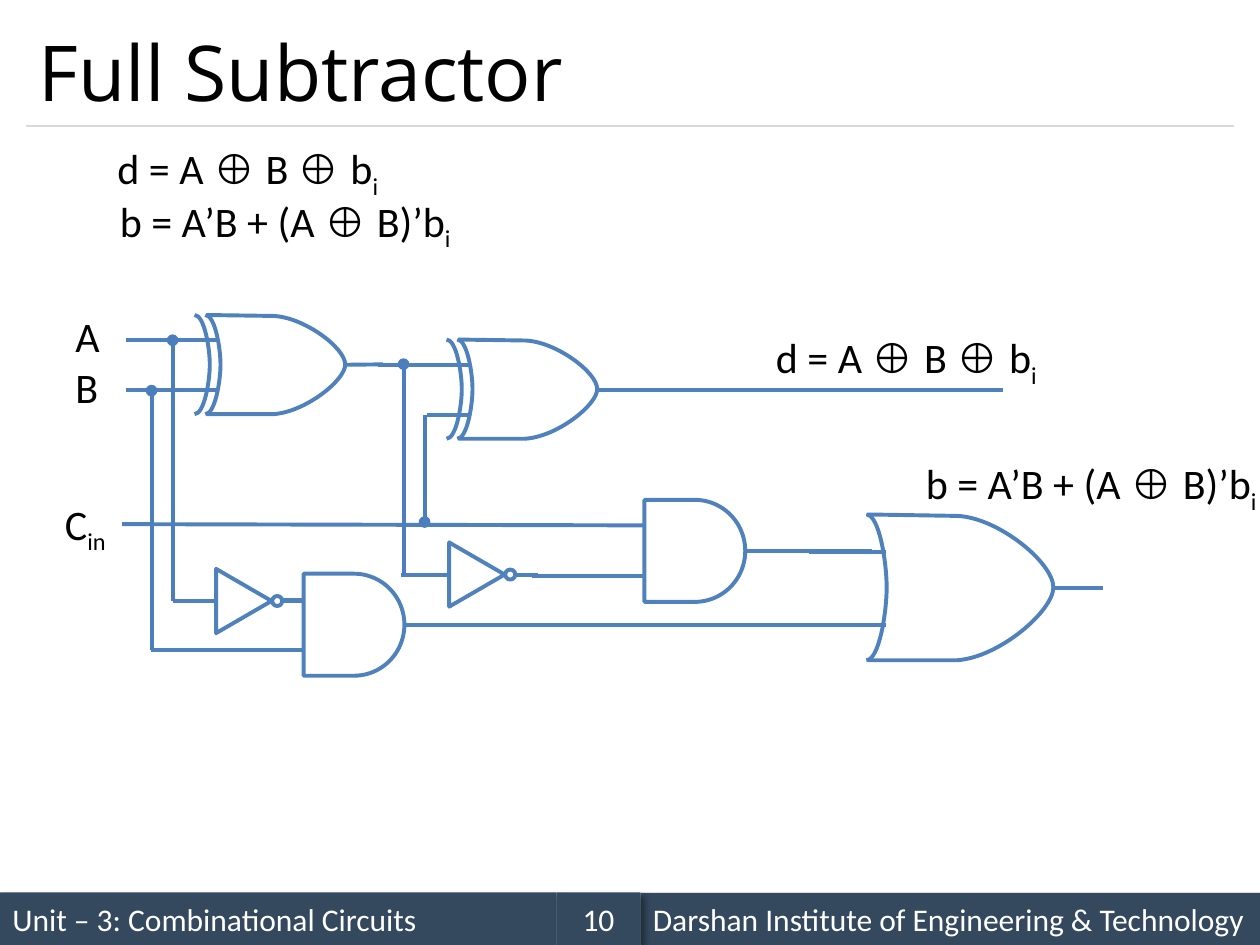
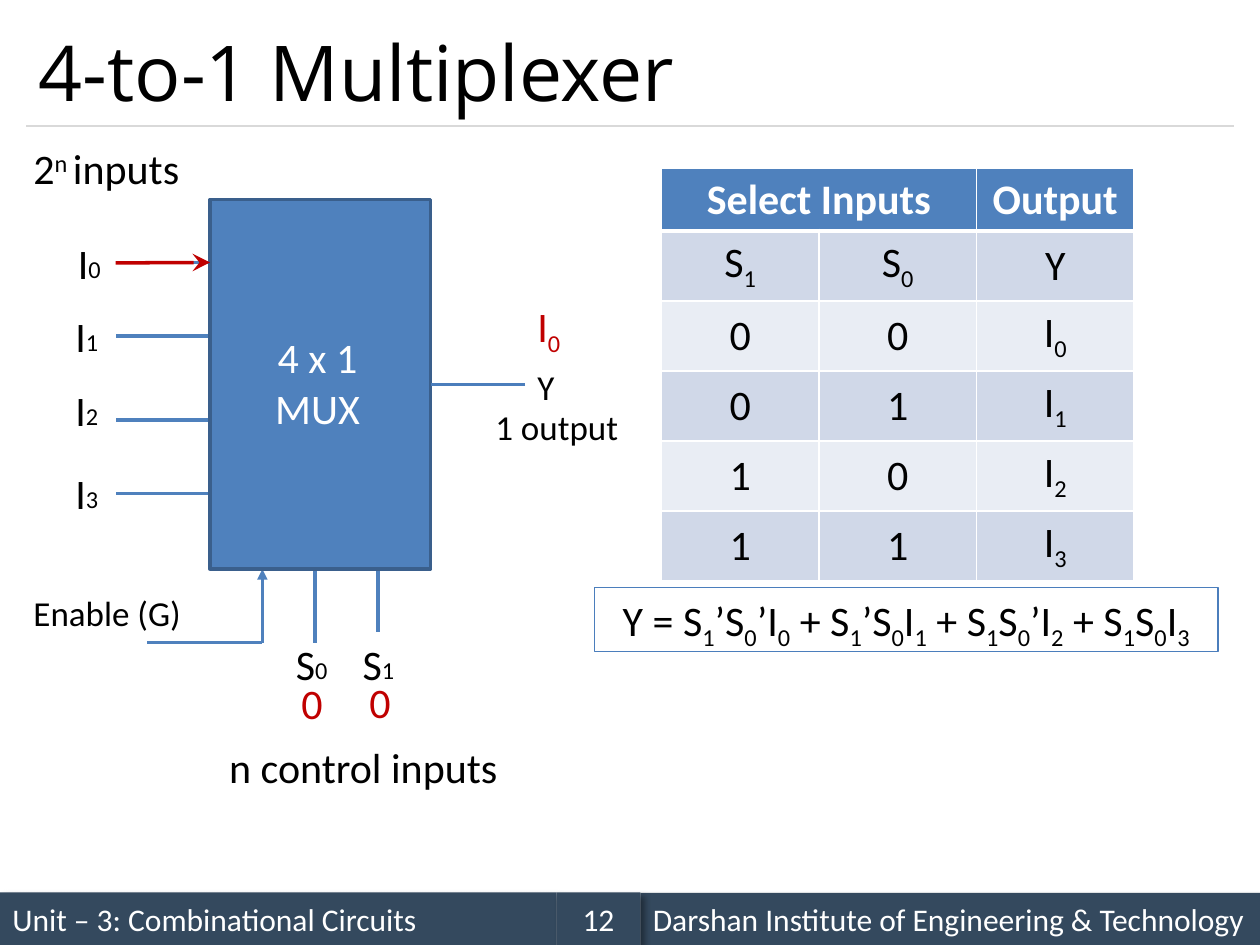
from pptx import Presentation
from pptx.dml.color import RGBColor as RGB
from pptx.enum.shapes import MSO_CONNECTOR as LINK, MSO_SHAPE as SHAPE
from pptx.enum.text import MSO_ANCHOR as ANCHOR, MSO_AUTO_SIZE as FIT, PP_ALIGN as ALIGN
from pptx.oxml.ns import qn
from pptx.util import Inches, Pt
from lxml.etree import SubElement as Sub

deck = Presentation()
deck.slide_width, deck.slide_height = Inches(10), Inches(7.5)
col, row = deck.slide_width / 100, deck.slide_height / 75

hues = {
    "blue": "4F81BD", "edge": "4B7EBC", "rim": "3A5F8C", "red": "C00000",
    "band": "34495E", "rule": "D9D9D9", "ink": "000000", "white": "FFFFFF",
    "dark": "D0D8E8", "pale": "E9EDF4",
}
tint = {name: RGB.from_string(code) for name, code in hues.items()}
left, mid = ALIGN.LEFT, ALIGN.CENTER


def put(frame, words, size=24, hue="ink", align=left, base=-25, face="Calibri", bold=False):
    para = frame.paragraphs[0]
    para.alignment = align
    for n, part in enumerate(words.split("|")):
        for bit in part.replace("⊕ ", "~⊕ ~").split("~"):
            if not bit:
                continue
            run = para.add_run()
            run.text = bit
            look = {"name": "Times New Roman" if "⊕" in bit else face, "size": Pt(size), "bold": bold}
            for key, value in look.items():
                setattr(run.font, key, value)
            run.font.color.rgb = tint[hue]
            if n % 2:
                run.font._element.set("baseline", str(base * 1000))


def wire(page, x1, y1, x2, y2, hue="blue", wide=2.25, head=None, tail=None):
    link = page.shapes.add_connector(
        LINK.STRAIGHT, int(x1 * col), int(y1 * row), int(x2 * col), int(y2 * row))
    link.line.color.rgb = tint[hue]
    link.line.width = Pt(wide)
    props = link._element.spPr
    for tag, kind in (("a:headEnd", head), ("a:tailEnd", tail)):
        if kind:
            size = "lg" if kind == "stealth" else "med"
            Sub(props.find(qn("a:ln")), qn(tag), type=kind, w=size, len=size)
    Sub(props, qn("a:effectLst"))


pages = []
for title, number in (("Full Subtractor", "10"), ("4-to-1 Multiplexer", "12")):
    page = deck.slides.add_slide(deck.slide_layouts[6])
    pages.append(page)
    bands = [
        (0, 70.83, 44.17, "Unit – 3: Combinational Circuits", left),
        (50.83, 70.86, 49.17, "Darshan Institute of Engineering & Technology", left),
        (44.17, 70.83, 6.67, number, mid),
    ]
    for x, y, w, words, align in bands:
        band = page.shapes.add_shape(
            SHAPE.RECTANGLE, int(x * col), int(y * row), int(w * col), int(4.17 * row))
        band.fill.solid()
        band.fill.fore_color.rgb = tint["band"]
        band.line.fill.background()
        band.shadow.inherit = False
        glow = Sub(band._element.spPr.find(qn("a:effectLst")), qn("a:outerShdw"),
                   blurRad=str(Pt(4)), dist=str(Pt(3)), dir="2700000", algn="tl", rotWithShape="0")
        shade = Sub(glow, qn("a:srgbClr"), val=hues["ink"])
        Sub(shade, qn("a:alpha"), val="40000")
        band.text_frame.word_wrap = True
        band.text_frame.vertical_anchor = ANCHOR.MIDDLE
        put(band.text_frame, words, 18, "white", align)
    wire(page, 2.1, 10, 97.9, 10, "rule", 0.75)
    box = page.shapes.add_textbox(int(2.1 * col), int(1.2 * row), int(95.8 * col), int(8.8 * row))
    box.text_frame.word_wrap = True
    box.text_frame.vertical_anchor = ANCHOR.MIDDLE
    put(box.text_frame, title, 44, face="Open Sans")

logic, mux = pages

leads = [
    (10, 30.95, 17.3, 30.95), (10, 27, 17.3, 27), (27.5, 28.95, 30.4, 28.92),
    (12, 51.6, 24.2, 51.6), (22.4, 47.6, 24.2, 47.6), (32.2, 49.6, 64.4, 49.6),
    (33.9, 32.92, 37.3, 32.92), (30, 28.95, 37.3, 28.95), (47.5, 30.93, 79.6, 30.93),
    (42.2, 45.7, 51.2, 45.7), (9.7, 41.6, 51.2, 41.7), (59.2, 43.73, 69.2, 43.73),
    (64.2, 49.6, 70.3, 49.6), (64.2, 43.8, 70.3, 43.8), (83.7, 46.67, 87.5, 46.67),
    (31.8, 45.6, 35.7, 45.6), (40.9, 45.6, 42.7, 45.6),
    (13.7, 47.7, 17.2, 47.7), (22.4, 47.7, 24.2, 47.7),
]
for ends in leads:
    wire(logic, *ends)

taps = [(13.7, 27, 47.7), (12.03, 31, 51.6), (32.03, 28.9, 45.6), (33.7, 41.43, 32.9)]
for x, y, far in taps:
    wire(logic, x, y, x, far, "edge", head="oval")

parts = []
for x, y in ((24.1, 45.53), (51.15, 39.67)):
    parts.append(logic.shapes.add_shape(
        SHAPE.FLOWCHART_DELAY, int(x * col), int(y * row), int(8 * col), int(8.1 * row)))
for x, y in ((16.8, 45.5), (35.3, 43.4)):
    cone = logic.shapes.add_shape(
        SHAPE.ISOSCELES_TRIANGLE, int(x * col), int(y * row), int(5.1 * col), int(4.4 * row))
    cone.rotation = 90
    ring = logic.shapes.add_shape(
        SHAPE.OVAL, int((x + 4.8) * col), int((y + 1.8) * row), int(0.8 * col), int(0.8 * row))
    parts += [cone, ring]

hull = [(0, 0), (0.48, 0.01), (0.7, 0.02), (1, 0.33), (1, 0.5),
        (1, 0.66), (0.71, 0.98), (0.48, 1), (0, 1)]
bow = [(-0.01, 0), (0.06, 0), (0.1, 0.33), (0.1, 0.5), (0.1, 0.67), (0.06, 1), (-0.01, 1)]
gates = [(16.4, 25, 11, 7.87, 2), (36.4, 26.95, 11, 7.87, 2), (68.9, 40.83, 14.7, 11.57, 1)]
for x, y, w, h, bows in gates:
    for curve, shift in [(hull, 0), (bow, 0), (bow, -0.85)][:bows + 1]:
        spots = [(int((x + shift + w * p) * col), int((y + h * q) * row)) for p, q in curve]
        pen = logic.shapes.build_freeform(*spots[0])
        pen.add_line_segments(spots[1:], close=False)
        part = pen.convert_to_shape()
        parts.append(part)
        route = next(part._element.spPr.iter(qn("a:path")))
        nodes = route.findall(qn("a:lnTo"))
        skip = (len(curve) - len(bow)) // 2
        for k in (skip, skip + 3):
            bend = Sub(route, qn("a:cubicBezTo"))
            nodes[k].addprevious(bend)
            for node in nodes[k:k + 3]:
                bend.append(node[0])
                route.remove(node)

for part in parts:
    part.fill.background()
    part.line.color.rgb = tint["blue"]
    part.line.width = Pt(2.25)
    part.shadow.inherit = False

pins = [(20.83, 5.2, 18.33), (26.67, 5, 24.17), (33.33, 5, 30), (39.17, 5, 36.6)]
for y, x, top in pins:
    wire(mux, 16.67, y, 9.17, y, wide=2)
wire(mux, 11.67, 51, 20.83, 51, wide=1.75)
wire(mux, 20.83, 51, 20.83, 45.17, wide=1.75, tail="triangle")
wire(mux, 25, 45.17, 25, 51, wide=1.75)
wire(mux, 30, 45.17, 30, 50.17, wide=1.75)

block = mux.shapes.add_shape(
    SHAPE.RECTANGLE, int(16.67 * col), int(15.83 * row), int(17.5 * col), int(29.33 * row))
block.fill.solid()
block.fill.fore_color.rgb = tint["blue"]
block.line.color.rgb = tint["rim"]
block.line.width = Pt(2)
block.shadow.inherit = False
wire(mux, 41.67, 30.5, 34.17, 30.5, "edge", 2)

sheet = mux.shapes.add_table(
    6, 3, int(52.5 * col), int(13.33 * row), int(37.5 * col), int(24.6 * row)).table
cells = [
    ("Select Inputs", "", "Output"), ("S|1", "S|0", "Y"), ("0", "0", "I|0"),
    ("0", "1", "I|1"), ("1", "0", "I|2"), ("1", "1", "I|3"),
]
sheet.cell(0, 0).merge(sheet.cell(0, 1))
for r, line in enumerate(cells):
    for c, words in enumerate(line):
        cell = sheet.cell(r, c)
        cell.vertical_anchor = ANCHOR.MIDDLE
        if r == 0:
            edge = Sub(cell._tc.get_or_add_tcPr(), qn("a:lnB"), w=str(Pt(3)))
            Sub(Sub(edge, qn("a:solidFill")), qn("a:srgbClr"), val=hues["white"])
        cell.fill.solid()
        cell.fill.fore_color.rgb = tint["blue" if r == 0 else "dark" if r % 2 else "pale"]
        if words:
            put(cell.text_frame, words, hue="ink" if r else "white", align=mid, bold=r == 0)

rule = mux.shapes.add_shape(
    SHAPE.RECTANGLE, int(47.17 * col), int(46.65 * row), int(49.5 * col), int(5.05 * row))
rule.fill.background()
rule.line.color.rgb = tint["edge"]
rule.line.width = Pt(0.75)
rule.shadow.inherit = False
rule.text_frame.word_wrap = True
rule.text_frame.vertical_anchor = ANCHOR.TOP
put(rule.text_frame, "Y = S|1|’S|0|’I|0| + S|1|’S|0|I|1| + S|1|S|0|’I|2| + S|1|S|0|I|3", align=mid)
wire(mux, 9.17, 20.87, 16.67, 20.83, "red", 2, tail="stealth")

diff, loan = "d = A ⊕ B ⊕ b|i", "b = A’B + (A ⊕ B)’b|i"
small, low = {"size": 20}, {"base": 2}
red = {"hue": "red"}
tags = [
    (logic, 5, 24.15, 4, "A", {}, False),
    (logic, 5, 28.2, 4, "B", {}, False),
    (logic, 4.17, 39.05, 5.5, "C|in", {}, False),
    (logic, 8.33, 10.83, 22.8, diff, {}, False),
    (logic, 8.53, 15, 28.4, loan, {}, False),
    (logic, 60.6, 25.83, 22.8, diff, {}, False),
    (logic, 72.5, 35.83, 28.4, loan, {}, False),
    (mux, 22.5, 50.2, 4.7, "S|0", low, False),
    (mux, 27.8, 50.2, 4.7, "S|1", low, False),
    (mux, 41.67, 28.5, 3.4, "Y", small, False),
    (mux, 38.33, 31.67, 13.33, "1 output", small, True),
    (mux, 17.2, 58.33, 23.3, "n control inputs", {}, True),
    (mux, 1.67, 10.83, 15, "2|n |inputs", {"base": 30}, True),
    (mux, 1.67, 46.45, 14.2, "Enable (G)", small, True),
    (mux, 19.55, 25.83, 11.3, "4 x 1 MUX", {"hue": "white", "align": mid}, True),
    (mux, 22.94, 53.3, 3.7, "0", red, False),
    (mux, 28.34, 53.2, 3.7, "0", red, False),
    (mux, 41.67, 23.33, 4, "I|0", red, False),
]
tags += [(mux, x, top, 4, f"I|{n}", low, False) for n, (y, x, top) in enumerate(pins)]
for page, x, y, w, words, look, wrap in tags:
    tall = 4.4 if look == small else 9.1 if "MUX" in words else 5
    box = page.shapes.add_textbox(int(x * col), int(y * row), int(w * col), int(tall * row))
    for key, value in {"word_wrap": wrap, "auto_size": FIT.SHAPE_TO_FIT_TEXT}.items():
        setattr(box.text_frame, key, value)
    put(box.text_frame, words, **look)

deck.save("out.pptx")
